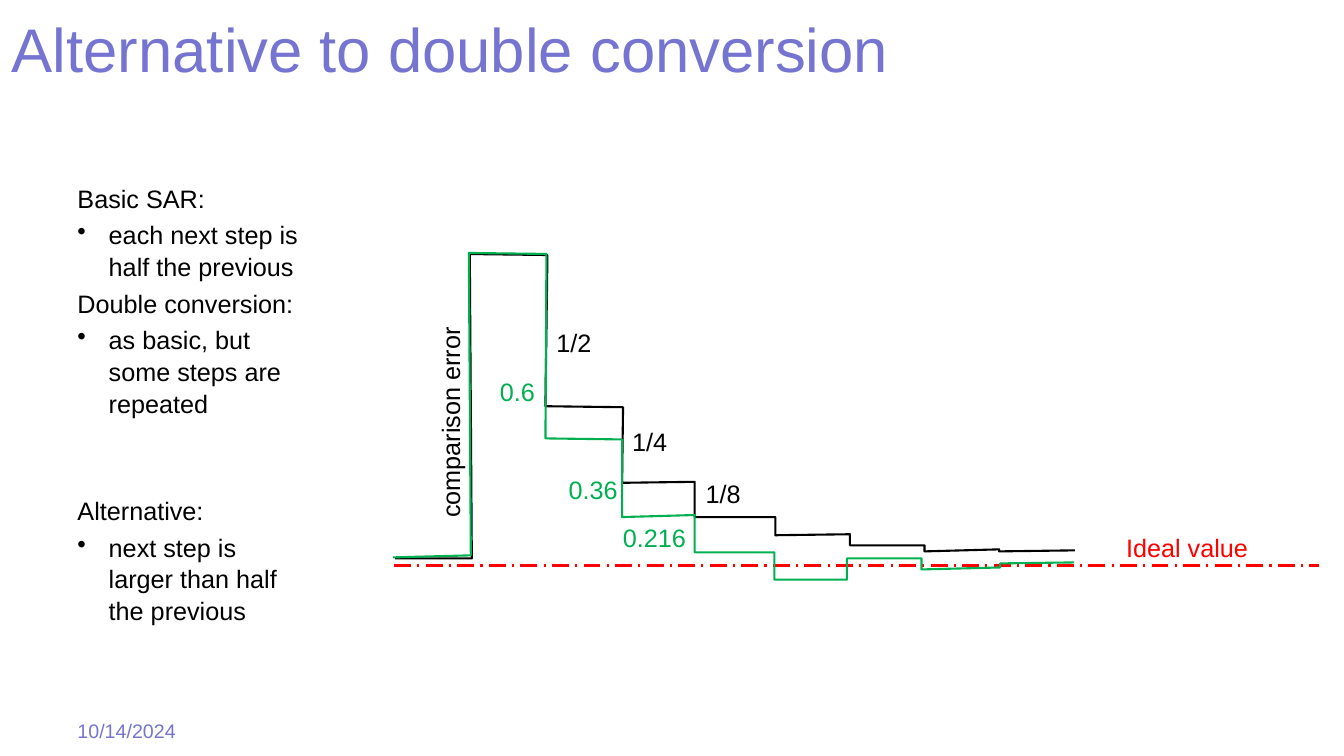
from lxml.etree import SubElement
from pptx import Presentation
from pptx.dml.color import RGBColor
from pptx.enum.dml import MSO_LINE
from pptx.enum.shapes import MSO_CONNECTOR
from pptx.enum.text import MSO_AUTO_SIZE
from pptx.oxml.ns import qn
from pptx.util import Inches, Pt

BLACK, GREEN, RED, VIOLET = "000000", "00B050", "FF0000", "7575D1"

NOTES = [
    ("Basic SAR:", False, 0),
    ("each next step is half the previous", True, 3.5),
    ("Double conversion:", False, 3.5),
    ("as basic, but some steps are repeated", True, 3.5),
    ("Alternative:", False, 54),
    ("next step is larger than half the previous", True, 3.5),
]
LABELS = [
    ("1/2", 5.42, 3.2, 0.55, BLACK, 0),
    ("1/4", 6.17, 4.18, 0.55, BLACK, 0),
    ("1/8", 6.9, 4.7, 0.55, BLACK, 0),
    ("comparison error", 3.41, 3.98, 2.11, BLACK, 270),
    ("0.6", 4.86, 3.68, 0.55, GREEN, 0),
    ("0.36", 5.54, 4.66, 0.69, GREEN, 0),
    ("0.216", 6.08, 5.13, 0.83, GREEN, 0),
    ("Ideal value", 11.07, 5.23, 1.42, RED, 0),
]
HALVES = [
    (3.92, 5.54), (4.68, 5.54), (4.66, 2.52), (5.43, 2.53), (5.41, 4.03),
    (6.18, 4.04), (6.17, 4.79), (6.89, 4.78), (6.89, 5.13), (7.69, 5.13),
    (7.69, 5.31), (8.43, 5.3), (8.43, 5.41), (9.17, 5.41), (9.17, 5.47),
    (9.91, 5.45), (9.91, 5.47), (10.66, 5.46),
]
LARGER = [
    (3.9, 5.53), (4.67, 5.51), (4.65, 2.51), (5.42, 2.52), (5.41, 4.35),
    (6.17, 4.36), (6.17, 5.13), (6.89, 5.11), (6.89, 5.48), (7.68, 5.48),
    (7.68, 5.75), (8.4, 5.75), (8.4, 5.54), (9.14, 5.54), (9.14, 5.65),
    (9.92, 5.63), (9.92, 5.59), (10.65, 5.58),
]


def tint(color, code):
    """Set a colour from a hex string."""
    color.rgb = RGBColor.from_string(code)


def put(item, form):
    """Set each attribute in a dict of format values."""
    for name, value in form.items():
        setattr(item, name, value)


def style(para, size, code):
    """Set the font of a paragraph."""
    put(para.font, {"name": "Arial", "size": Pt(size)})
    tint(para.font.color, code)


def add_box(slide, area, form):
    """Add a text box and return it."""
    box = slide.shapes.add_textbox(*map(Inches, area))
    put(box.text_frame, form)
    return box


def add_text(slide, text, area, size, code, form):
    """Add a text box with one line and return it."""
    box = add_box(slide, area, form)
    para = box.text_frame.paragraphs[0]
    para.text = text
    style(para, size, code)
    return box


def add_label(slide, text, left, top, width, code, turn):
    """Add a chart label that fits its text."""
    form = {"word_wrap": False, "auto_size": MSO_AUTO_SIZE.SHAPE_TO_FIT_TEXT}
    box = add_text(slide, text, (left, top, width, 0.4), 18, code, form)
    box.rotation = turn


def add_notes(slide):
    """Add the list of headings and bullets."""
    frame = add_box(slide, (0.67, 1.75, 2.42, 5.08), {"word_wrap": True}).text_frame
    for index, (text, bullet, gap) in enumerate(NOTES):
        para = frame.add_paragraph() if index else frame.paragraphs[0]
        para.text = text
        put(para, {"line_spacing": 1.05, "space_before": Pt(gap)})
        if bullet:
            props = para._p.get_or_add_pPr()
            props.set("marL", str(Inches(0.31)))
            props.set("indent", str(-Inches(0.31)))
            SubElement(props, qn("a:buChar"), char="•")
        style(para, 18, BLACK)


def add_steps(slide, points, code):
    """Add a stepped curve."""
    start, *rest = [(Inches(x), Inches(y)) for x, y in points]
    pen = slide.shapes.build_freeform(*start)
    pen.add_line_segments(rest, close=False)
    curve = pen.convert_to_shape()
    curve.shadow.inherit = False
    curve.fill.background()
    curve.line.width = Pt(1.5)
    tint(curve.line.color, code)


def add_ideal(slide):
    """Add the dashed line of the ideal value."""
    ends = map(Inches, (3.91, 5.61, 13.08, 5.61))
    rule = slide.shapes.add_connector(MSO_CONNECTOR.STRAIGHT, *ends)
    tint(rule.line.color, RED)
    put(rule.line, {"width": Pt(1.5), "dash_style": MSO_LINE.LONG_DASH_DOT})
    SubElement(rule._element.spPr, qn("a:effectLst"))


def main():
    """Build the slide and save it."""
    deck = Presentation()
    put(deck, {"slide_width": Inches(13.33), "slide_height": Inches(7.5)})
    slide = deck.slides.add_slide(deck.slide_layouts[6])
    add_text(slide, "Alternative to double conversion", (0.02, 0, 12, 1.25), 44,
             VIOLET, {"word_wrap": True, "margin_top": Inches(0.11)})
    add_notes(slide)
    add_text(slide, "10/14/2024", (0.67, 7.08, 3.11, 0.41), 14, VIOLET,
             {"word_wrap": True})
    add_ideal(slide)
    add_steps(slide, HALVES, BLACK)
    add_steps(slide, LARGER, GREEN)
    for label in LABELS:
        add_label(slide, *label)
    deck.save("out.pptx")


if __name__ == "__main__":
    main()
